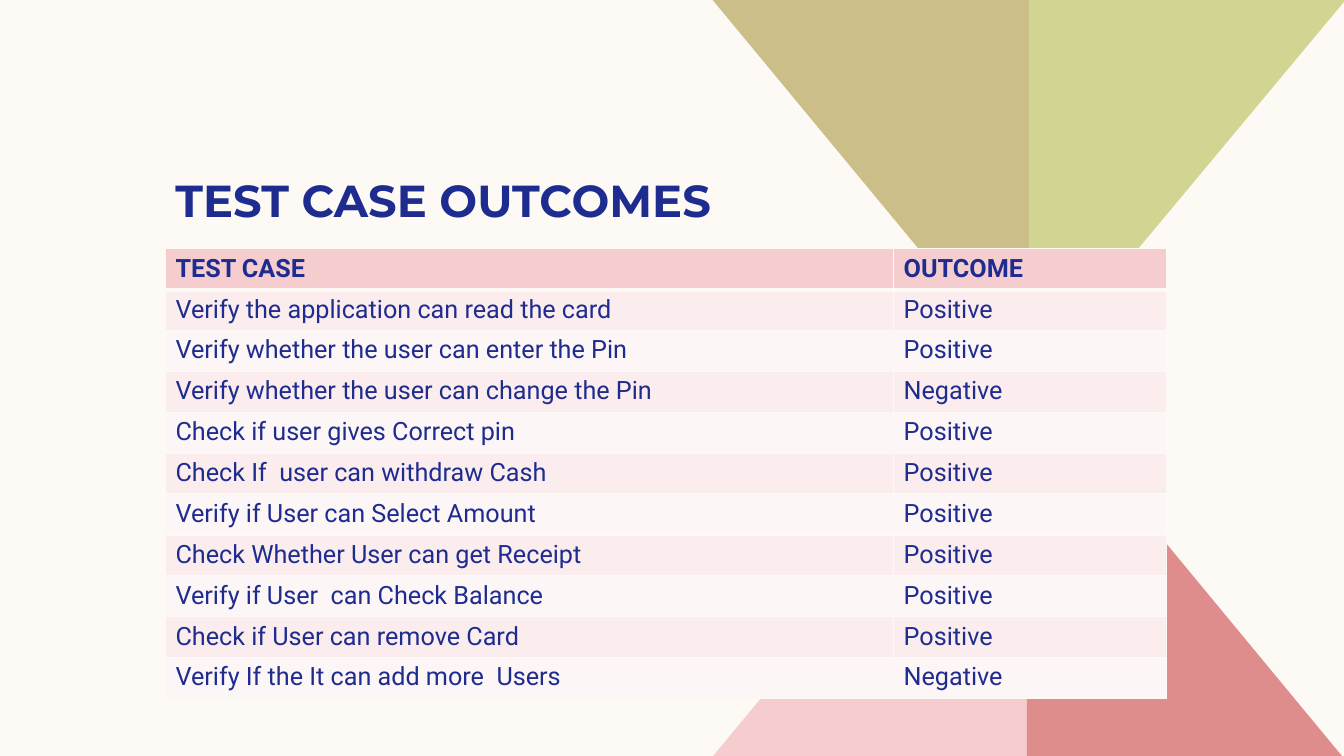
from lxml import etree
from pptx import Presentation
from pptx.dml.color import RGBColor as Rgb
from pptx.oxml.ns import qn
from pptx.util import Cm, Pt

# Content
TITLE = "TEST CASE OUTCOMES"
HEAD = ("TEST CASE", "OUTCOME")
CASES = [
    ("Verify the application can read the card", "Positive"),
    ("Verify whether the user can enter the Pin", "Positive"),
    ("Verify whether the user can change the Pin", "Negative"),
    ("Check if user gives Correct pin", "Positive"),
    ("Check If  user can withdraw Cash", "Positive"),
    ("Verify if User can Select Amount", "Positive"),
    ("Check Whether User can get Receipt", "Positive"),
    ("Verify if User  can Check Balance", "Positive"),
    ("Check if User can remove Card", "Positive"),
    ("Verify If the It can add more  Users", "Negative"),
]
COLORS = {
    "cream": "FDFAF6", "navy": "1F2C8F", "pink": "F5CDCE", "red": "DE8C8C",
    "lime": "D2D592", "tan": "CCBE89", "odd": "FBEDED", "even": "FDF6F6",
}
# Corner triangles in cm: color, inner x, outer x, tip y, base y
WEDGES = [
    ("pink", 25.93, 17.93, 9.45, 19.1),
    ("red", 25.88, 33.86, 9.45, 19.1),
    ("lime", 25.88, 33.91, 9.63, 0),
    ("tan", 25.93, 17.96, 9.63, 0),
]
LEFT, TOP, ROW = 4.17, 6.27, 1.03
COLS = (18.35, 6.87)


def paint(fill, name):
    fill.solid()
    fill.fore_color.rgb = Rgb.from_string(COLORS[name])


def write(frame, text, face, size, bold):
    par = frame.paragraphs[0]
    par.text = text
    font = par.font
    font.name, font.size, font.bold = face, Pt(size), bold
    font.color.rgb = Rgb.from_string(COLORS["navy"])


def edge(cell, side, width):
    props = cell._tc.get_or_add_tcPr()
    line = etree.SubElement(props, qn(f"a:ln{side}"), w=str(Pt(width)))
    fill = etree.SubElement(line, qn("a:solidFill"))
    etree.SubElement(fill, qn("a:srgbClr"), val=COLORS["cream"])


deck = Presentation()
deck.slide_width, deck.slide_height = Cm(33.87), Cm(19.05)
slide = deck.slides.add_slide(deck.slide_layouts[6])
paint(slide.background.fill, "cream")

# Corner triangles
for name, inner, outer, tip, base in WEDGES:
    pen = slide.shapes.build_freeform(Cm(inner), Cm(tip))
    pen.add_line_segments([(Cm(outer), Cm(base)), (Cm(inner), Cm(base))])
    wedge = pen.convert_to_shape()
    wedge.shadow.inherit = False
    paint(wedge.fill, name)
    wedge.line.fill.background()

# Title
box = slide.shapes.add_textbox(Cm(LEFT), Cm(4.19), Cm(15.82), Cm(1.42))
box.text_frame.word_wrap = True
box.text_frame.margin_top = Cm(0.17)
write(box.text_frame, TITLE, "Montserrat", 32, True)

# Table of outcomes
rows = [HEAD] + CASES
grid = slide.shapes.add_table(
    len(rows), len(COLS), Cm(LEFT), Cm(TOP), Cm(sum(COLS)), Cm(ROW * len(rows))
).table
for col, width in zip(grid.columns, COLS):
    col.width = Cm(width)
for r, row in enumerate(rows):
    grid.rows[r].height = Cm(ROW)
    shade = "pink" if r == 0 else "odd" if r % 2 else "even"
    for c, text in enumerate(row):
        cell = grid.cell(r, c)
        write(cell.text_frame, text, "Roboto", 18, r == 0)
        edge(cell, "L", 1)
        edge(cell, "R", 1)
        edge(cell, "T", 3 if r == 1 else 1)
        edge(cell, "B", 3 if r == 0 else 1)
        paint(cell.fill, shade)

deck.save("out.pptx")
